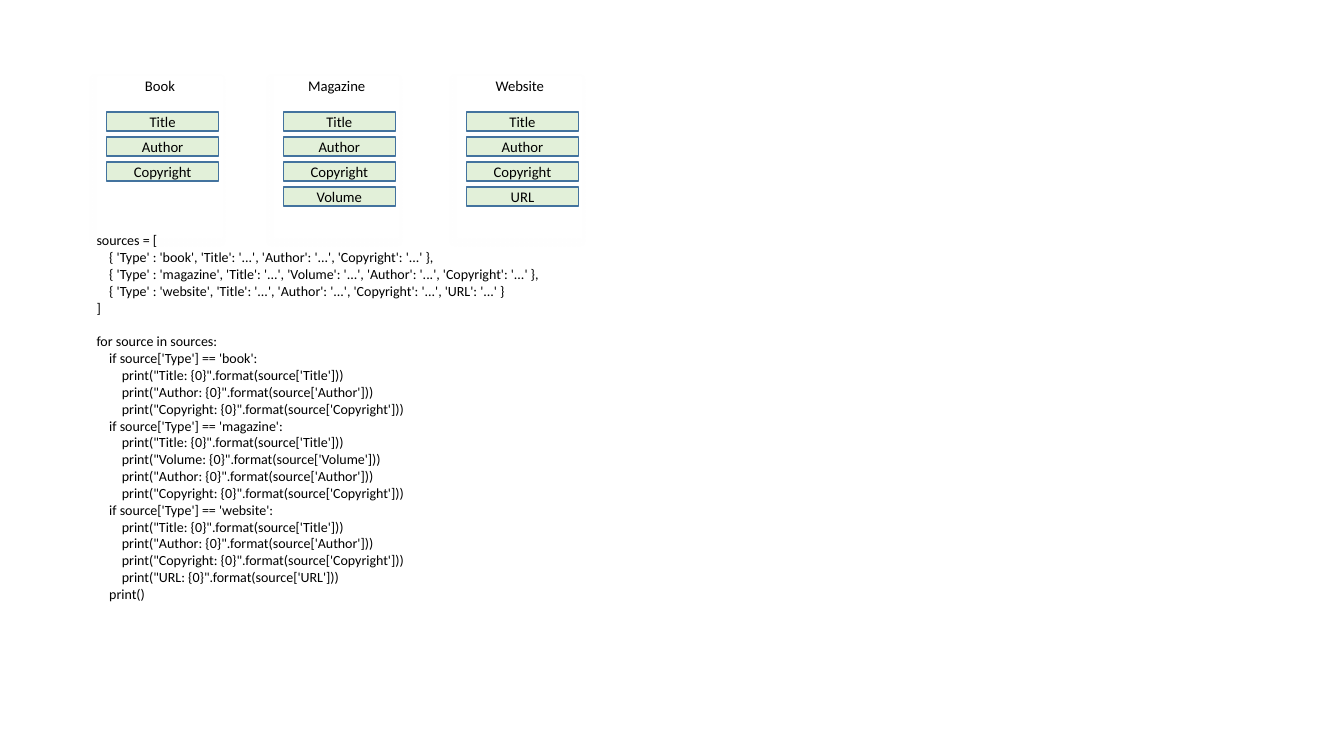
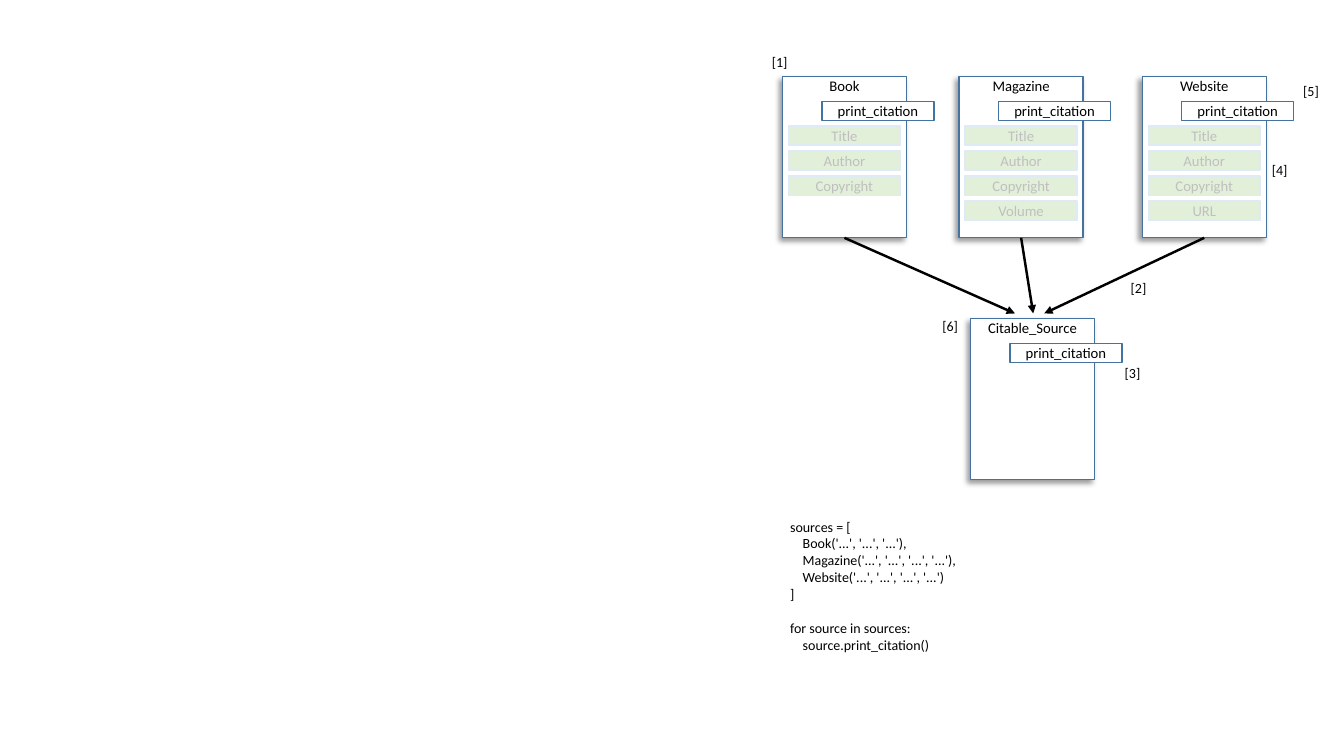
from dataclasses import dataclass

from lxml import etree
from pptx import Presentation
from pptx import util as u
from pptx.dml import color
from pptx.enum import shapes, text
from pptx.oxml import ns

COLORS = {
    "white": "FFFFFF",
    "black": "000000",
    "outline": "43739E",
    "field": "E2F0D9",
    "pale_outline": "DEEBF7",
    "pale_text": "BFBFBF",
}
FONT = "Calibri"
LABEL_SIZE, CODE_SIZE = 10.5, 10
CODE_LINE, CODE_INDENT = 12.2, 9.04
CARD_TOP, CARD_WIDTH, CARD_HEIGHT = 54.7, 88.6, 115.2
ROW_WIDTH, ROW_HEIGHT, ROW_PITCH = 80, 13.7, 17.9
METHOD_DX, METHOD_DY = 28.2, 17.8
SECOND_PAGE_SHIFT = 488.9


@dataclass(frozen=True)
class Source:
    """A kind of source: its card and the field order used in code."""
    name: str
    left: float
    fields: tuple[str, ...]
    coded: tuple[str, ...]


@dataclass(frozen=True)
class CardStyle:
    """Look of a card and of the fields listed on it."""
    outline: str
    shadow: str
    field_outline: str
    field_text: str
    field_dx: float
    field_dy: float


@dataclass(frozen=True)
class CodeLine:
    """One line of code, its indent level and the blank lines above it."""
    words: str
    level: int = 0
    gap: int = 0


@dataclass(frozen=True)
class Tag:
    """A bracketed reference mark."""
    words: str
    left: float
    top: float


BASE = ("Title", "Author", "Copyright")
SOURCES = (
    Source("Book", 70, BASE, BASE),
    Source("Magazine", 196.2, BASE + ("Volume",),
           ("Title", "Volume", "Author", "Copyright")),
    Source("Website", 327, BASE + ("URL",), BASE + ("URL",)),
)
PLAIN = CardStyle("white", "white", "outline", "black", 6.2, 25.2)
FADED = CardStyle("outline", "black", "pale_outline", "pale_text", 4.3, 35.3)
TAGS = (
    Tag("[1]", 544.3, 34.6),
    Tag("[2]", 800.6, 195.8),
    Tag("[3]", 796.3, 257),
    Tag("[4]", 901.4, 111.6),
    Tag("[5]", 923.8, 55.4),
    Tag("[6]", 666, 223.2),
)
PARENT_LEFT, PARENT_TOP = 693.2, 227.5
ARROW_TIPS = (725, 738, 745.9)
ARROW_END = 223.9


def rgb(name: str) -> color.RGBColor:
    """Look up a named colour."""
    return color.RGBColor.from_string(COLORS[name])


def apply(target: object, values: dict[str, object]) -> None:
    """Set each named attribute on the target."""
    for name, value in values.items():
        setattr(target, name, value)


def write(para: object, words: str, size: float, tone: str = "black") -> None:
    """Add one formatted span to a paragraph."""
    span = para.add_run()
    span.text = words
    apply(span.font, {"name": FONT, "size": u.Pt(size)})
    span.font.color.rgb = rgb(tone)


def add_box(page: object, words: str, left: float, top: float, width: float,
            height: float, fill: str, outline: str, tone: str = "black") -> object:
    """Draw a flat rectangle with a centred label."""
    box = page.shapes.add_shape(shapes.MSO_SHAPE.RECTANGLE, u.Pt(left),
                                u.Pt(top), u.Pt(width), u.Pt(height))
    box.shadow.inherit = False
    box.fill.solid()
    box.fill.fore_color.rgb = rgb(fill)
    box.line.color.rgb = rgb(outline)
    box.line.width = u.Pt(1)
    frame = box.text_frame
    apply(frame, {"word_wrap": True, "vertical_anchor": text.MSO_ANCHOR.MIDDLE})
    para = frame.paragraphs[0]
    para.alignment = text.PP_ALIGN.CENTER
    write(para, words, LABEL_SIZE, tone)
    return box


def add_shadow(box: object, tone: str) -> None:
    """Give a box a soft shadow to its lower left."""
    effects = box._element.spPr.find(ns.qn("a:effectLst"))
    shadow = etree.SubElement(effects, ns.qn("a:outerShdw"), {
        "blurRad": str(u.Pt(4)), "dist": str(u.Pt(3)),
        "dir": str(135 * 60000), "algn": "tr", "rotWithShape": "0"})
    shade = etree.SubElement(shadow, ns.qn("a:srgbClr"), val=COLORS[tone])
    etree.SubElement(shade, ns.qn("a:alpha"), val="40000")


def add_card(page: object, name: str, left: float, top: float,
             style: CardStyle) -> object:
    """Draw a class card with its name at the top."""
    card = add_box(page, name, left, top, CARD_WIDTH, CARD_HEIGHT,
                   "white", style.outline)
    apply(card.text_frame, {"vertical_anchor": text.MSO_ANCHOR.TOP,
                            "margin_top": u.Pt(0)})
    add_shadow(card, style.shadow)
    return card


def add_method(page: object, left: float, top: float) -> None:
    """Draw the method box that juts out of a card placed at left, top."""
    add_box(page, "print_citation", left + METHOD_DX, top + METHOD_DY,
            ROW_WIDTH, ROW_HEIGHT, "white", "outline")


def add_fields(page: object, source: Source, left: float,
               style: CardStyle) -> None:
    """Stack the fields of a source on its card."""
    for row, field in enumerate(source.fields):
        add_box(page, field, left + style.field_dx,
                CARD_TOP + style.field_dy + row * ROW_PITCH,
                ROW_WIDTH, ROW_HEIGHT, "field", style.field_outline,
                style.field_text)


def add_code(page: object, lines: list[CodeLine], left: float, top: float,
             height: float) -> None:
    """Place a block of code, indenting by paragraph margin."""
    box = page.shapes.add_textbox(u.Pt(left), u.Pt(top), u.Pt(360), u.Pt(height))
    frame = box.text_frame
    apply(frame, {"word_wrap": True,
                  "auto_size": text.MSO_AUTO_SIZE.SHAPE_TO_FIT_TEXT})
    for number, line in enumerate(lines):
        para = frame.add_paragraph() if number else frame.paragraphs[0]
        para.space_before = u.Pt(line.gap * CODE_LINE)
        margin = u.Pt(line.level * CODE_INDENT)
        para._p.get_or_add_pPr().set("marL", str(margin))
        write(para, line.words, CODE_SIZE)


def add_tag(page: object, tag: Tag) -> None:
    """Place a reference mark."""
    box = page.shapes.add_textbox(u.Pt(tag.left), u.Pt(tag.top),
                                  u.Pt(25.9), u.Pt(19.4))
    apply(box.text_frame, {"word_wrap": False,
                           "auto_size": text.MSO_AUTO_SIZE.SHAPE_TO_FIT_TEXT})
    write(box.text_frame.paragraphs[0], tag.words, CODE_SIZE)


def add_arrow(page: object, card: object, tip: float) -> None:
    """Run an arrow from the bottom of a card to the parent class."""
    arrow = page.shapes.add_connector(
        shapes.MSO_CONNECTOR.STRAIGHT, u.Pt(0), u.Pt(0),
        u.Pt(tip), u.Pt(ARROW_END))
    arrow.begin_connect(card, 2)
    arrow.line.color.rgb = rgb("black")
    arrow.line.width = u.Pt(1.75)
    outline = arrow._element.spPr
    etree.SubElement(outline.find(ns.qn("a:ln")), ns.qn("a:tailEnd"),
                     type="triangle")
    etree.SubElement(outline, ns.qn("a:effectLst"))


def list_code(entries: list[str]) -> list[CodeLine]:
    """Wrap entries in the sources list and open the loop over it."""
    ends = ["," for _ in entries[:-1]] + [""]
    rows = [CodeLine(entry + end, 1) for entry, end in zip(entries, ends)]
    return [CodeLine("sources = ["), *rows, CodeLine("]"),
            CodeLine("for source in sources:", gap=1)]


def record(source: Source) -> str:
    """Write a source as a dictionary literal."""
    pairs = ", ".join(f"'{field}': '...'" for field in source.coded)
    return f"{{ 'Type' : '{source.name.lower()}', {pairs} }}"


def call(source: Source) -> str:
    """Write a source as a constructor call."""
    values = ", ".join("'...'" for _ in source.fields)
    return f"{source.name}({values})"


def branch_code() -> list[CodeLine]:
    """Write the type tests and the prints under each of them."""
    lines = []
    for source in SOURCES:
        lines.append(CodeLine(f"if source['Type'] == '{source.name.lower()}':", 1))
        lines += [CodeLine(f"print(\"{field}: {{0}}\".format(source['{field}']))", 2)
                  for field in source.coded]
    return lines + [CodeLine("print()", 1)]


def build_records_page(deck: object) -> None:
    """Show the sources as plain records."""
    page = deck.slides.add_slide(deck.slide_layouts[6])
    for source in SOURCES:
        add_card(page, source.name, source.left, CARD_TOP, PLAIN)
        add_fields(page, source, source.left, PLAIN)
    code = list_code([record(source) for source in SOURCES]) + branch_code()
    add_code(page, code, 61.9, 162, 273.6)


def build_classes_page(deck: object) -> None:
    """Show the sources as classes with a common parent."""
    page = deck.slides.add_slide(deck.slide_layouts[6])
    cards = []
    for source in SOURCES:
        left = source.left + SECOND_PAGE_SHIFT
        cards.append(add_card(page, source.name, left, CARD_TOP, FADED))
        add_method(page, left, CARD_TOP)
        add_fields(page, source, left, FADED)
    add_card(page, "Citable_Source", PARENT_LEFT, PARENT_TOP, FADED)
    add_method(page, PARENT_LEFT, PARENT_TOP)
    for card, tip in zip(cards, ARROW_TIPS):
        add_arrow(page, card, tip)
    code = list_code([call(source) for source in SOURCES])
    add_code(page, code + [CodeLine("source.print_citation()", 1)],
             557.3, 366.5, 104.4)
    for tag in TAGS:
        add_tag(page, tag)


deck = Presentation()
apply(deck, {"slide_width": u.Pt(960), "slide_height": u.Pt(540)})
build_records_page(deck)
build_classes_page(deck)
deck.save("out.pptx")
